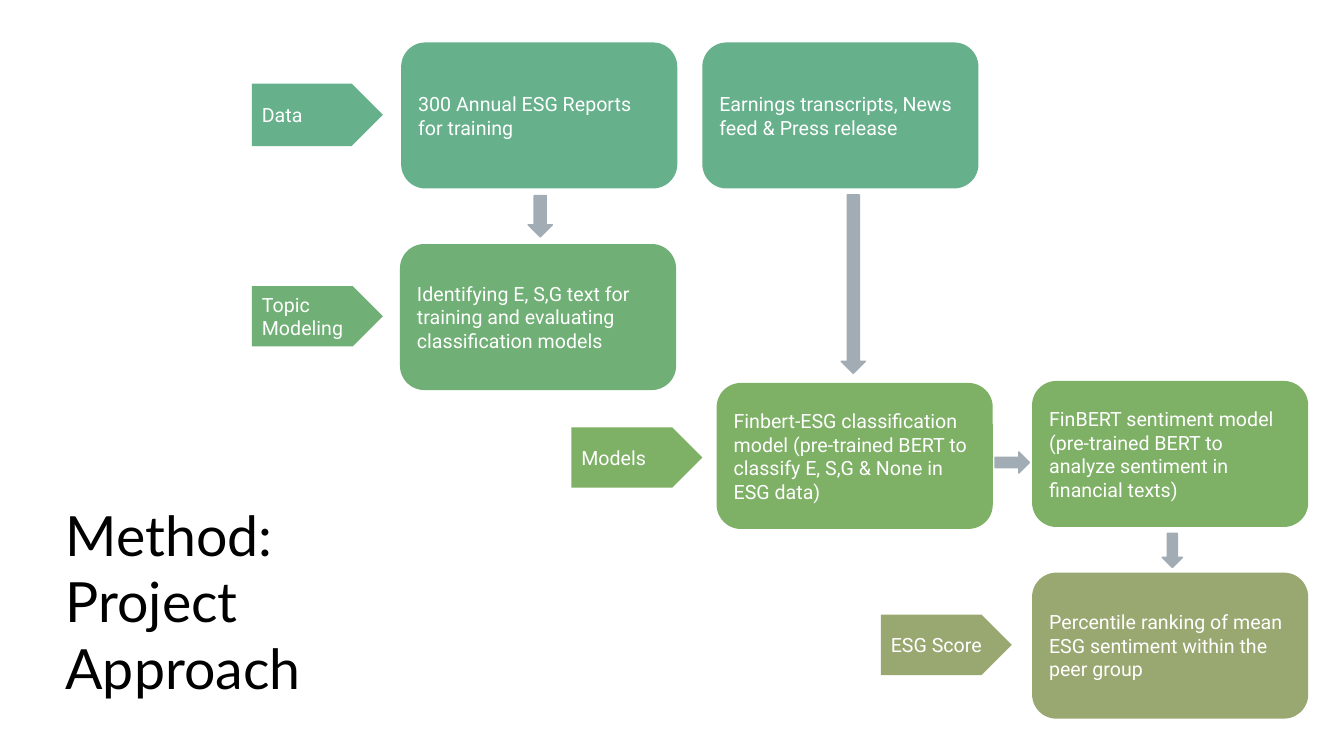
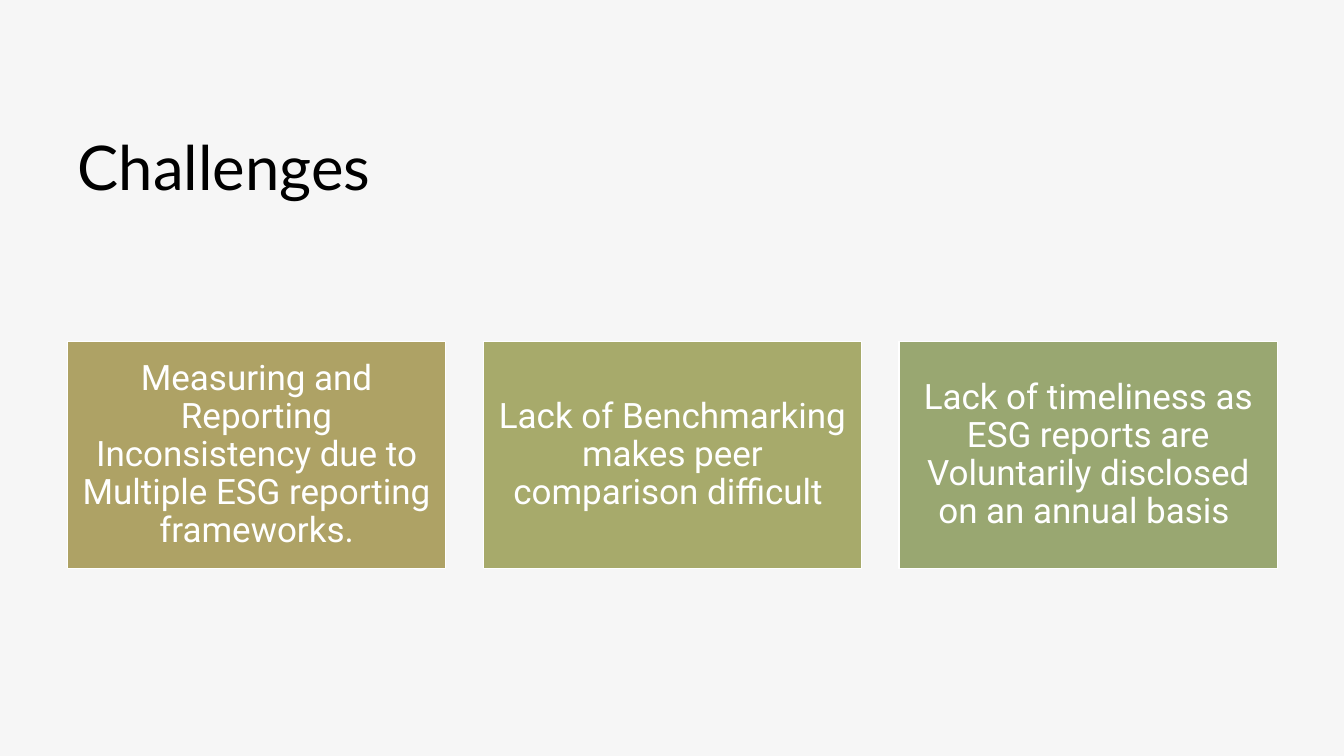
from lxml.etree import SubElement
from pptx import Presentation
from pptx.dml.color import RGBColor
from pptx.enum.shapes import MSO_SHAPE as Shape
from pptx.enum.text import MSO_ANCHOR as Anchor, MSO_AUTO_SIZE as AutoSize, PP_ALIGN as Align
from pptx.oxml.ns import qn
from pptx.util import Cm, Pt

BLACK = RGBColor(0x00, 0x00, 0x00)
WHITE = RGBColor(0xFF, 0xFF, 0xFF)
GRAY = RGBColor(0xAE, 0xAE, 0xAE)
STEEL = RGBColor(0xA2, 0xAC, 0xB5)
TEAL = RGBColor(0x66, 0xB0, 0x8B)
GREEN = RGBColor(0x70, 0xAF, 0x75)
LEAF = RGBColor(0x7E, 0xB0, 0x66)
SAGE = RGBColor(0x99, 0xA7, 0x71)
OLIVE = RGBColor(0xA7, 0xAA, 0x6B)
SAND = RGBColor(0xAE, 0xA2, 0x65)

WIDTH, HEIGHT = 33.87, 19.05
STEP_SIZE = (6.96, 3.68)
CARD_LEFT, CARD_TOP, CARD_PITCH = 1.7, 8.61, 10.48
CARD_SIZE = (9.53, 5.72)


class Deck:
    """Holds the style and the current slide."""

    title_font = "Lato"
    body_font = "Roboto"

    def __init__(self):
        self.prs = Presentation()
        self.prs.slide_width, self.prs.slide_height = Cm(WIDTH), Cm(HEIGHT)
        self.slide = None

    def add_text(self, frame, text, font, size, color, align, spacing=1.0):
        frame.word_wrap = True
        paragraph = frame.paragraphs[0]
        paragraph.alignment = align
        paragraph.line_spacing = spacing
        run = paragraph.add_run()
        run.text = text
        run.font.name, run.font.size = font, Pt(size)
        run.font.color.rgb = color

    def add_slide(self, title, left, top, width, height, size):
        self.slide = self.prs.slides.add_slide(self.prs.slide_layouts[5])
        heading = self.slide.shapes.title
        heading.left, heading.top = Cm(left), Cm(top)
        heading.width, heading.height = Cm(width), Cm(height)
        frame = heading.text_frame
        frame.auto_size = AutoSize.NONE
        frame.vertical_anchor = Anchor.BOTTOM
        self.add_text(frame, title, self.title_font, size, BLACK, Align.LEFT)

    def block(self, kind, left, top, width, height, fill, line=None):
        shape = self.slide.shapes.add_shape(kind, Cm(left), Cm(top), Cm(width), Cm(height))
        shape.shadow.inherit = False
        shape.fill.solid()
        shape.fill.fore_color.rgb = fill
        if line is None:
            shape.line.fill.background()
        else:
            shape.line.color.rgb = line
            shape.line.width = Pt(1)
        return shape

    def tint(self, color, percent):
        veil = self.block(Shape.RECTANGLE, 0, 0, WIDTH, HEIGHT, color)
        rgb = veil.element.find(".//" + qn("a:srgbClr"))
        SubElement(rgb, qn("a:alpha")).set("val", str(percent * 1000))
        self.slide.shapes.title.element.addprevious(veil.element)

    def step(self, text, left, top, fill):
        box = self.block(Shape.ROUNDED_RECTANGLE, left, top, *STEP_SIZE, fill)
        self.add_text(box.text_frame, text, self.body_font, 14, WHITE, Align.LEFT)

    def stage(self, text, left, top, height, fill):
        tag = self.block(Shape.PENTAGON, left, top, 3.3, height, fill)
        self.add_text(tag.text_frame, text, self.body_font, 14, WHITE, Align.LEFT)

    def arrow(self, kind, left, top, width, height):
        self.block(kind, left, top, width, height, STEEL, STEEL)

    def card(self, text, left, top, fill):
        panel = self.block(Shape.RECTANGLE, left, top, *CARD_SIZE, fill, WHITE)
        frame = panel.text_frame
        frame.margin_left = frame.margin_right = Cm(0.25)
        frame.margin_top = frame.margin_bottom = Cm(0.25)
        self.add_text(frame, text, self.body_font, 25, WHITE, Align.CENTER, 0.9)


STEPS = [
    ("300 Annual ESG Reports for training", 10.11, 1.07, TEAL),
    ("Earnings transcripts, News feed & Press release", 17.7, 1.07, TEAL),
    ("Identifying E, S,G text for training and evaluating classification models", 10.08, 6.15, GREEN),
    ("Finbert-ESG classification model (pre-trained BERT to classify E, S,G & None in ESG data)",
     18.06, 9.65, LEAF),
    ("FinBERT sentiment model (pre-trained BERT to analyze sentiment in financial texts)",
     26.01, 9.6, LEAF),
    ("Percentile ranking of mean ESG sentiment within the peer group", 26.01, 14.43, SAGE),
]
STAGES = [
    ("Data", 6.35, 2.11, 1.57, TEAL),
    ("Topic Modeling", 6.35, 7.21, 1.52, GREEN),
    ("Models", 14.4, 10.77, 1.52, LEAF),
    ("ESG Score", 22.2, 15.49, 1.52, SAGE),
]
ARROWS = [
    (Shape.DOWN_ARROW, 13.31, 4.93, 0.61, 1.04),
    (Shape.DOWN_ARROW, 21.2, 4.91, 0.61, 4.5),
    (Shape.DOWN_ARROW, 29.29, 13.44, 0.51, 0.86),
    (Shape.RIGHT_ARROW, 25.08, 11.39, 0.86, 0.53),
]
CHALLENGES = [
    ("Measuring and Reporting Inconsistency due to Multiple ESG reporting frameworks.", SAND),
    ("Lack of Benchmarking makes peer comparison difficult ", OLIVE),
    ("Lack of timeliness as ESG reports are Voluntarily disclosed on an annual basis ", SAGE),
]


def main():
    deck = Deck()

    deck.add_slide("Method: Project Approach", 1.4, 11.48, 6.96, 6.3, 39.6)
    for step in STEPS:
        deck.step(*step)
    for stage in STAGES:
        deck.stage(*stage)
    for arrow in ARROWS:
        deck.arrow(*arrow)

    deck.add_slide("Challenges", 1.7, 1.55, 30.48, 3.68, 44)
    deck.tint(GRAY, 10)
    for column, (challenge, fill) in enumerate(CHALLENGES):
        deck.card(challenge, CARD_LEFT + column * CARD_PITCH, CARD_TOP, fill)

    deck.prs.save("out.pptx")


if __name__ == "__main__":
    main()
